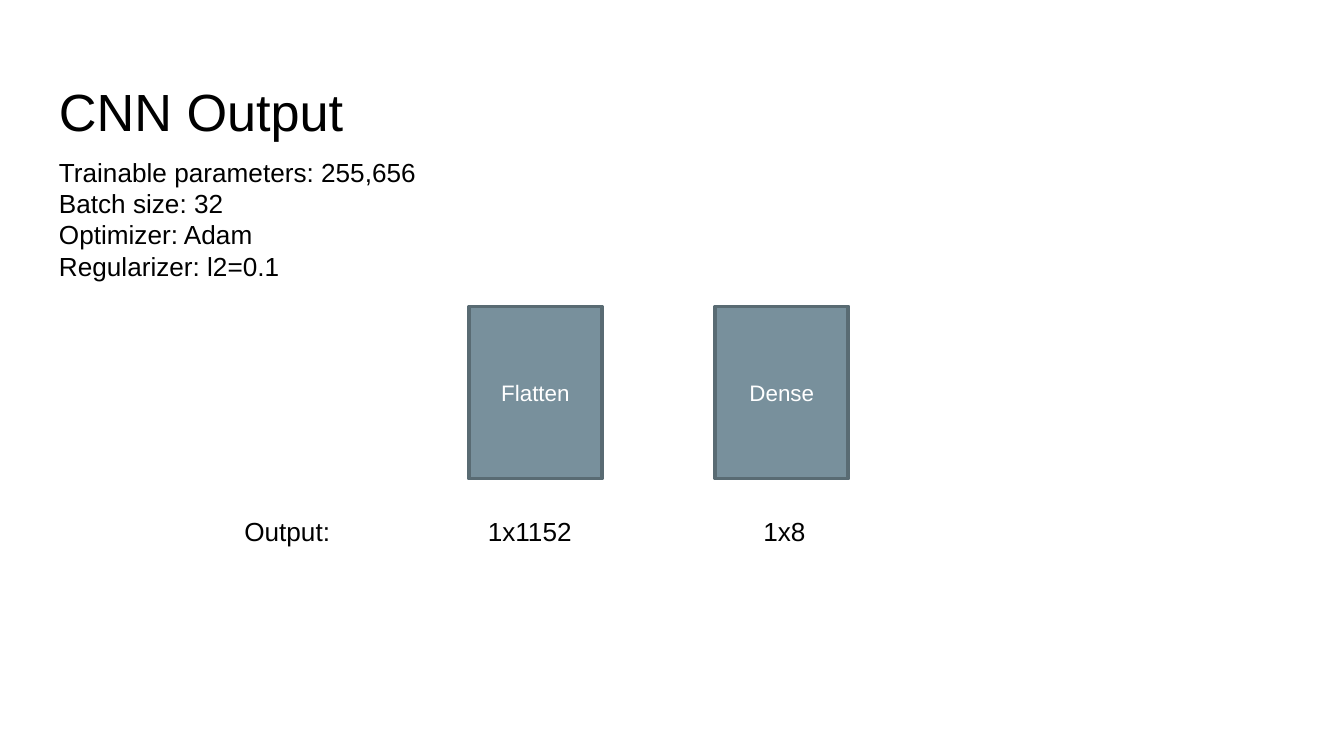
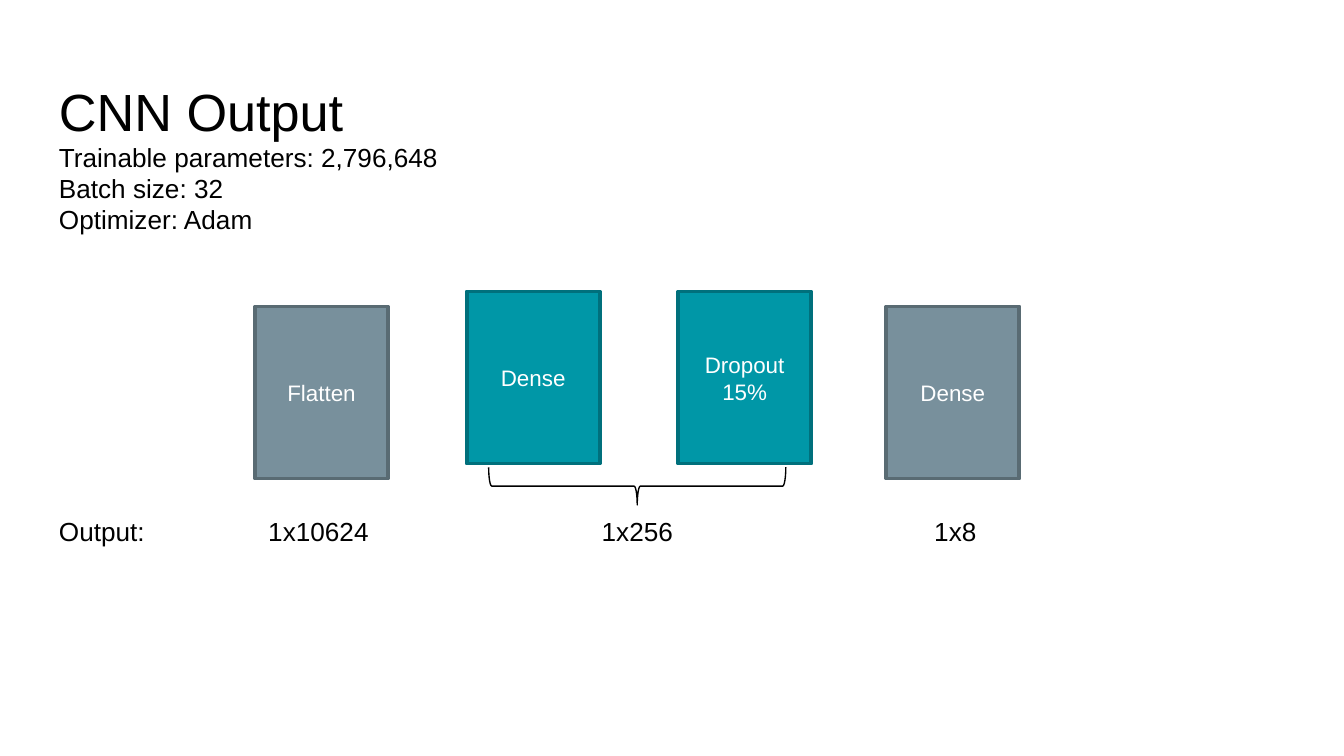
from dataclasses import dataclass

from lxml.etree import SubElement
from pptx import Presentation
from pptx.dml.color import RGBColor
from pptx.enum.shapes import MSO_SHAPE
from pptx.enum.text import MSO_ANCHOR, PP_ALIGN
from pptx.oxml.ns import qn
from pptx.slide import Slide
from pptx.text.text import TextFrame
from pptx.util import Pt

BLACK = RGBColor(0x00, 0x00, 0x00)
WHITE = RGBColor(0xFF, 0xFF, 0xFF)
SLATE = RGBColor(0x78, 0x90, 0x9C)
SLATE_EDGE = RGBColor(0x59, 0x6B, 0x73)
TEAL = RGBColor(0x00, 0x97, 0xA7)
TEAL_EDGE = RGBColor(0x00, 0x70, 0x7C)

FONT = "Arial"
MARGIN = 24.5
LAYER_WIDTH, LAYER_HEIGHT = 71.3, 92.2
LAYER_TOP, HIDDEN_TOP = 164.2, 156.2
OUTPUT_TOP = 272.4


@dataclass(frozen=True)
class Layer:
    name: str
    left: float
    hidden: bool = False


@dataclass(frozen=True)
class Output:
    text: str
    left: float
    width: float = LAYER_WIDTH


@dataclass(frozen=True)
class Brace:
    left: float
    top: float
    width: float
    height: float


@dataclass(frozen=True)
class Network:
    settings: tuple[str, ...]
    settings_top: float
    layers: tuple[Layer, ...]
    outputs: tuple[Output, ...]
    brace: Brace | None = None


NETWORKS = (
    Network(
        settings=("Trainable parameters: 255,656", "Batch size: 32",
                  "Optimizer: Adam", "Regularizer: l2=0.1"),
        settings_top=80,
        layers=(Layer("Flatten", 251.2), Layer("Dense", 383.2)),
        outputs=(Output("Output:", 123.8), Output("1x1152", 254.2),
                 Output("1x8", 401.8, 57)),
    ),
    Network(
        settings=("Trainable parameters: 2,796,648", "Batch size: 32",
                  "Optimizer: Adam"),
        settings_top=72,
        layers=(Layer("Flatten", 136.6), Layer("Dense", 250, hidden=True),
                Layer("Dropout\n15%", 363.3, hidden=True), Layer("Dense", 474.8)),
        outputs=(Output("Output:", MARGIN), Output("1x10624", 136.6),
                 Output("1x256", 315.2), Output("1x8", 493.4, 57)),
        brace=Brace(261.8, 250.3, 159.2, 20.2),
    ),
)


def write(frame: TextFrame, text: str, size: float, color: RGBColor,
          align: PP_ALIGN = PP_ALIGN.LEFT) -> None:
    """Fill the frame with one paragraph for each line of text."""
    frame.word_wrap = True
    frame.text = text
    for para in frame.paragraphs:
        para.alignment = align
        for name, value in {"name": FONT, "size": Pt(size)}.items():
            setattr(para.font, name, value)
        para.font.color.rgb = color


def add_text(page: Slide, text: str, left: float, top: float, width: float,
             height: float, size: float = 14) -> TextFrame:
    box = page.shapes.add_textbox(Pt(left), Pt(top), Pt(width), Pt(height))
    write(box.text_frame, text, size, BLACK)
    return box.text_frame


def add_title(page: Slide, text: str) -> None:
    frame = add_text(page, text, MARGIN, 35, 671, 45.1, size=28)
    for side in ("left", "top", "right", "bottom"):
        setattr(frame, f"margin_{side}", Pt(7.2))


def add_layer(page: Slide, layer: Layer) -> None:
    top = HIDDEN_TOP if layer.hidden else LAYER_TOP
    fill, edge = (TEAL, TEAL_EDGE) if layer.hidden else (SLATE, SLATE_EDGE)
    box = page.shapes.add_shape(MSO_SHAPE.RECTANGLE, Pt(layer.left), Pt(top),
                                Pt(LAYER_WIDTH), Pt(LAYER_HEIGHT))
    box.shadow.inherit = False
    box.fill.solid()
    box.fill.fore_color.rgb = fill
    box.line.color.rgb = edge
    box.line.width = Pt(2)
    # Rounded corners on the outline
    SubElement(box.line._get_or_add_ln(), qn("a:round"))
    box.text_frame.vertical_anchor = MSO_ANCHOR.MIDDLE
    write(box.text_frame, layer.name, 12, WHITE, PP_ALIGN.CENTER)


def add_brace(page: Slide, brace: Brace) -> None:
    """Draw a brace that opens upward, by turning a left brace about its centre."""
    shift = (brace.width - brace.height) / 2
    shape = page.shapes.add_shape(MSO_SHAPE.LEFT_BRACE, Pt(brace.left + shift),
                                  Pt(brace.top - shift), Pt(brace.height), Pt(brace.width))
    shape.rotation = 270
    shape.shadow.inherit = False
    shape.fill.background()
    shape.line.color.rgb = BLACK
    shape.line.width = Pt(0.75)


def add_network(page: Slide, network: Network) -> None:
    add_title(page, "CNN Output")
    for output in network.outputs:
        add_text(page, output.text, output.left, OUTPUT_TOP, output.width, 24.5)
    for layer in network.layers:
        add_layer(page, layer)
    if network.brace:
        add_brace(page, network.brace)
    add_text(page, "\n".join(network.settings), MARGIN, network.settings_top,
             388, 7.2 + 16.9 * len(network.settings))


def main() -> None:
    deck = Presentation()
    deck.slide_width, deck.slide_height = Pt(720), Pt(405)
    for network in NETWORKS:
        add_network(deck.slides.add_slide(deck.slide_layouts[6]), network)
    deck.save("out.pptx")


if __name__ == "__main__":
    main()
